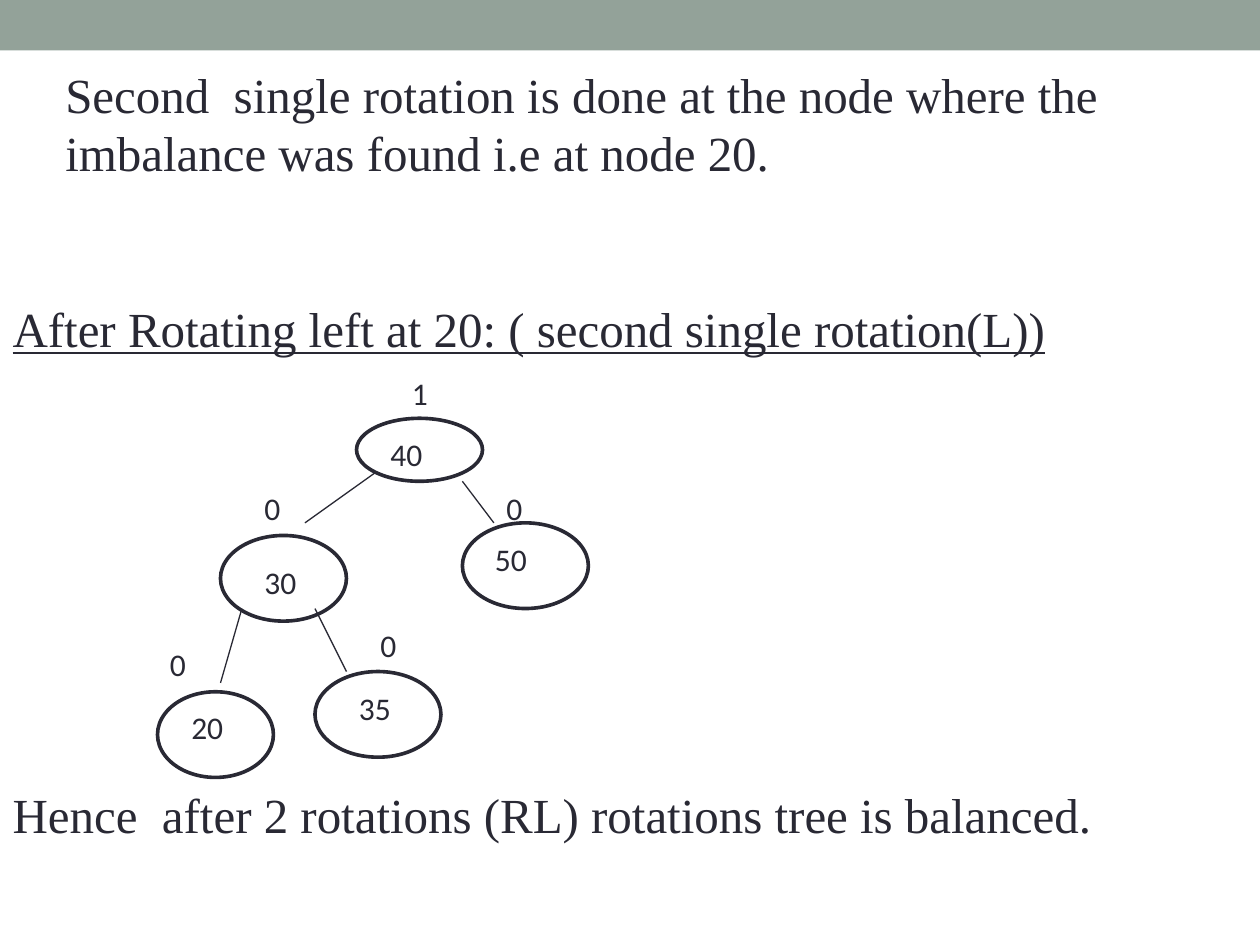
import pptx
import pptx.util
import pptx.dml.color
import pptx.enum.shapes
import pptx.enum.text
import lxml.etree

Inches = pptx.util.Inches
Pt = pptx.util.Pt
SHAPE = pptx.enum.shapes.MSO_SHAPE
COLORS = {"bar": "93A299", "ink": "292934", "node": "FFFFFF"}
DRAW_NS = "http://schemas.openxmlformats.org/drawingml/2006/main"

NODES = [
    ("20", (1.25, 5.49, 0.92, 0.68), (1.42, 5.57, 0.67)),
    ("40", (2.83, 3.32, 1, 0.5), (3, 3.4, 0.67)),
    ("50", (3.67, 4.15, 1, 0.68), (3.83, 4.24, 0.58)),
    ("35", (2.5, 5.33, 1, 0.68), (2.75, 5.42, 0.58)),
    ("30", (1.75, 4.25, 1, 0.68), (2, 4.42, 0.58)),
]
EDGES = [
    (2.42, 4.15, 2.98, 3.75),
    (3.67, 3.82, 3.92, 4.15),
    (1.75, 5.42, 1.92, 4.83),
    (2.75, 5.33, 2.5, 4.83),
]
HEIGHTS = [
    ("0", (2, 3.83, 0.42)),
    ("1", (3.17, 2.92, 0.42)),
    ("0", (3.92, 3.83, 0.42)),
    ("0", (1.25, 5.07, 0.58)),
    ("0", (2.92, 4.92, 0.42)),
]


def color(name):
    return pptx.dml.color.RGBColor.from_string(COLORS[name])


def write(para, text, font="Times New Roman", size=28, under=False, gap=0):
    run = para.add_run()
    run.text = text
    run.font.name = font
    run.font.size = Pt(size)
    run.font.underline = under
    run.font.color.rgb = color("ink")
    para.space_before = Pt(gap)


class Deck:
    def __init__(self):
        self.deck = pptx.Presentation()
        self.deck.slide_width = Inches(10)
        self.deck.slide_height = Inches(7.5)
        self.slide = self.deck.slides.add_slide(self.deck.slide_layouts[1])
        title = self.slide.shapes.title.element
        title.getparent().remove(title)

    def shape(self, kind, box, fill, line=None):
        shape = self.slide.shapes.add_shape(kind, *map(Inches, box))
        shape.shadow.inherit = False
        shape.fill.solid()
        shape.fill.fore_color.rgb = color(fill)
        if line:
            shape.line.color.rgb = color("ink")
            shape.line.width = Pt(line)
        else:
            shape.line.fill.background()

    def text(self, text, box, **style):
        frame = self.slide.shapes.add_textbox(*map(Inches, box)).text_frame
        frame.word_wrap = True
        write(frame.paragraphs[0], text, **style)

    def label(self, text, spot):
        self.text(text, (*spot, 0.4), font="Calibri", size=18)

    def edge(self, ends):
        line = self.slide.shapes.add_connector(
            pptx.enum.shapes.MSO_CONNECTOR.STRAIGHT, *map(Inches, ends))
        line.line.color.rgb = color("ink")
        line.line.width = Pt(0.75)
        lxml.etree.SubElement(line.element.spPr, f"{{{DRAW_NS}}}effectLst")

    def body(self, box, parts):
        holder = self.slide.placeholders[1]
        holder.left, holder.top, holder.width, holder.height = map(Inches, box)
        frame = holder.text_frame
        frame.auto_size = pptx.enum.text.MSO_AUTO_SIZE.NONE
        frame.vertical_anchor = pptx.enum.text.MSO_ANCHOR.TOP
        for i, (text, style) in enumerate(parts):
            para = frame.add_paragraph() if i else frame.paragraphs[0]
            props = para._p.get_or_add_pPr()
            props.set("marL", str(Inches(0.2)))
            props.set("indent", str(Inches(-0.2)))
            lxml.etree.SubElement(props, f"{{{DRAW_NS}}}buNone")
            write(para, text, **style)


def main():
    deck = Deck()
    deck.shape(SHAPE.RECTANGLE, (0, 0, 10, 0.4), "bar")
    deck.body((0, 2.32, 9.75, 4.93), [
        ("After Rotating left at 20: ( second single rotation(L))", {"under": True}),
        ("Hence  after 2 rotations (RL) rotations tree is balanced.", {"gap": 244}),
    ])
    for text, oval, spot in NODES:
        deck.shape(SHAPE.OVAL, oval, "node", line=2.08)
        deck.label(text, spot)
    for ends in EDGES:
        deck.edge(ends)
    for text, spot in HEIGHTS:
        deck.label(text, spot)
    deck.text("Second  single rotation is done at the node where the "
              "imbalance was found i.e at node 20.", (0.42, 0.46, 9.33, 1.04))
    deck.deck.save("out.pptx")


if __name__ == "__main__":
    main()
